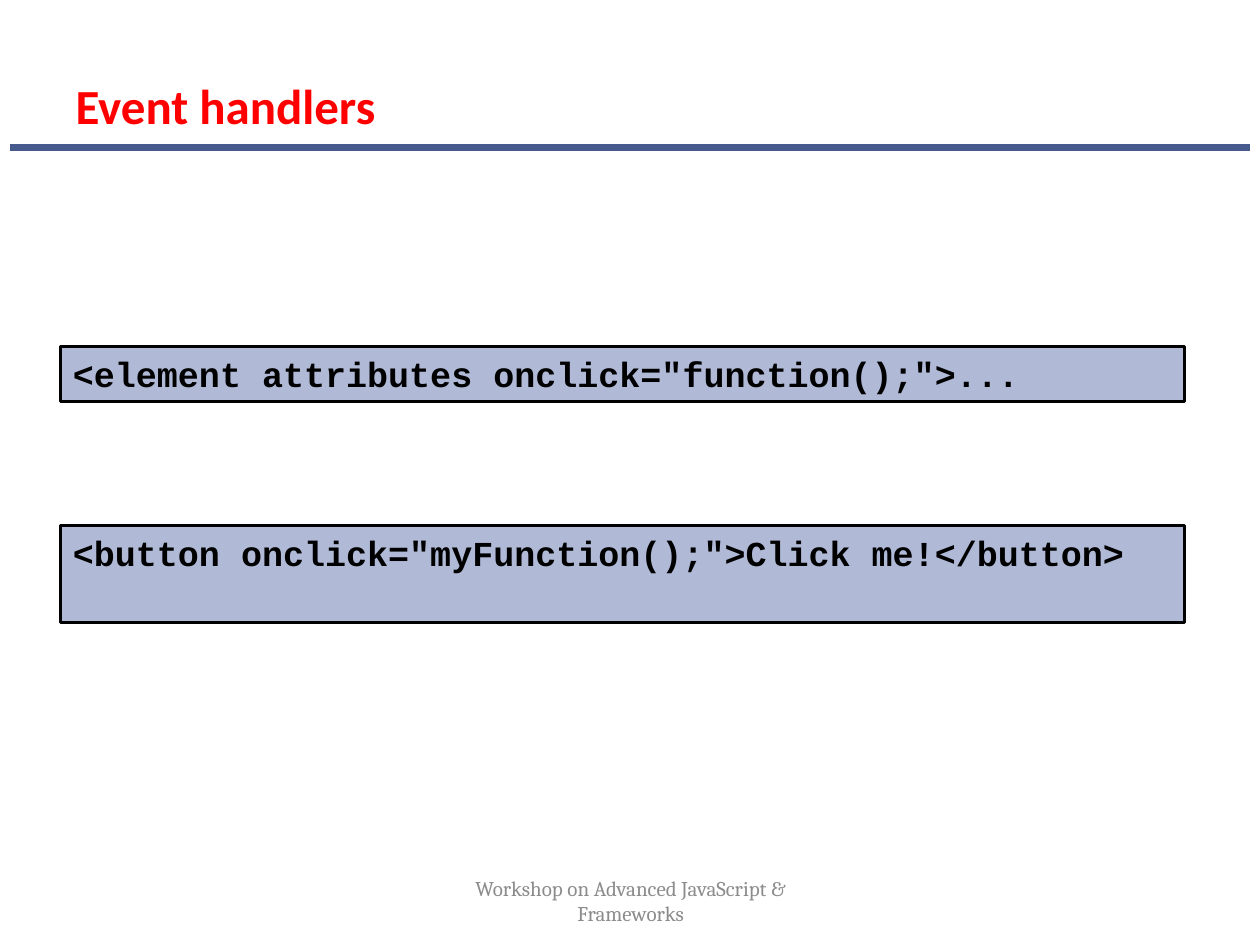
"""Build the slide on event handlers."""
from lxml import etree
from pptx import Presentation
from pptx.dml.color import RGBColor
from pptx.enum import shapes, text
from pptx.oxml import ns
from pptx.util import Cm, Pt

TITLE = "Event handlers"
FOOTER = "Workshop on Advanced JavaScript & Frameworks"
CODE = [
    ('<element attributes onclick="function();">...', 6.98, 1.12),
    ('<button onclick="myFunction();">Click me!</button>', 10.59, 1.96),
]
COLORS = {"title": "FF0000", "rule": "475A8D", "footer": "8C8C8C",
          "fill": "B0BAD7", "ink": "000000"}
CODE_LEFT, CODE_WIDTH = 1.22, 22.66
RULE_MARGIN, RULE_TOP = 0.2, 2.97


def color(name):
    return RGBColor.from_string(COLORS[name])


def write(box, content, font, size, ink, align, anchor, bold=False):
    frame = box.text_frame
    frame.text = content
    frame.word_wrap = True
    frame.auto_size = text.MSO_AUTO_SIZE.NONE
    frame.vertical_anchor = anchor
    para = frame.paragraphs[0]
    para.alignment = align
    for span in para.runs:
        span.font.name = font
        span.font.size = Pt(size)
        span.font.bold = bold
        span.font.color.rgb = color(ink)


def main():
    deck = Presentation()
    deck.slide_width, deck.slide_height = Cm(25.4), Cm(19.05)
    page = deck.slides.add_slide(deck.slide_layouts[5])
    left, center = text.PP_ALIGN.LEFT, text.PP_ALIGN.CENTER
    top, middle, bottom = (text.MSO_ANCHOR.TOP, text.MSO_ANCHOR.MIDDLE,
                           text.MSO_ANCHOR.BOTTOM)

    rule = page.shapes.add_connector(
        shapes.MSO_CONNECTOR.STRAIGHT, Cm(RULE_MARGIN), Cm(RULE_TOP),
        deck.slide_width - Cm(RULE_MARGIN), Cm(RULE_TOP))
    rule.line.color.rgb = color("rule")
    rule.line.width = Pt(4)
    etree.SubElement(rule._element.spPr, ns.qn("a:effectLst"))

    title = page.shapes.title
    title.left, title.top = Cm(1.27), Cm(0.86)
    title.width, title.height = Cm(22.86), Cm(1.98)
    write(title, TITLE, "Calibri", 28, "title", left, bottom, True)

    footer = page.shapes.add_textbox(Cm(8.69), Cm(17.65), Cm(8.05), Cm(1.02))
    write(footer, FOOTER, "Cambria", 12, "footer", center, middle)

    for snippet, offset, height in CODE:
        box = page.shapes.add_shape(
            shapes.MSO_SHAPE.RECTANGLE, Cm(CODE_LEFT), Cm(offset),
            Cm(CODE_WIDTH), Cm(height))
        box.shadow.inherit = False
        box.fill.solid()
        box.fill.fore_color.rgb = color("fill")
        box.line.color.rgb = color("ink")
        box.line.width = Pt(1.5)
        write(box, snippet, "Courier New", 20, "ink", left, top, True)

    deck.save("out.pptx")


if __name__ == "__main__":
    main()
